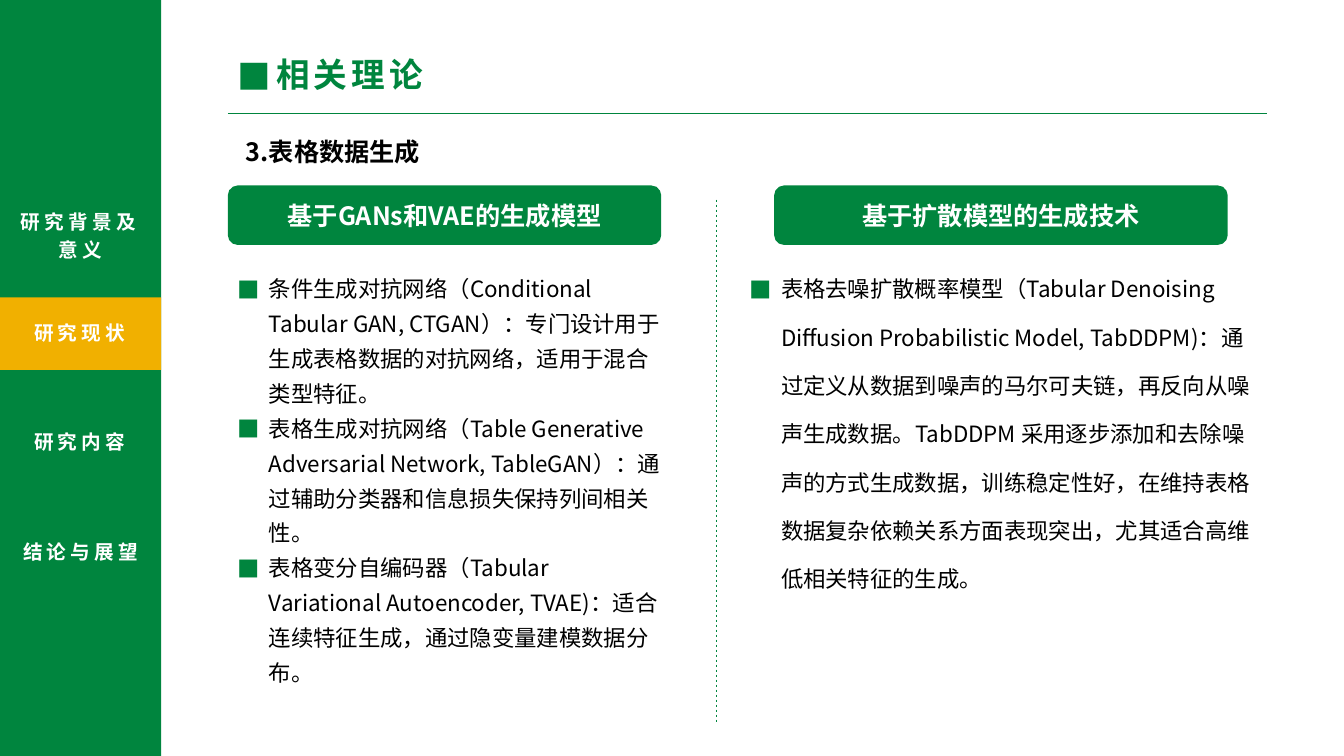
import pptx
import pptx.dml.color
import pptx.enum.dml
import pptx.enum.shapes
import pptx.enum.text
import pptx.oxml.ns
import pptx.util
from lxml import etree

COLORS = {"green": "00853E", "amber": "F1B000", "white": "FFFFFF", "black": "000000"}
FONT = "Noto Sans CJK SC"
LEFT = pptx.enum.text.PP_ALIGN.LEFT
CENTER = pptx.enum.text.PP_ALIGN.CENTER
RECTANGLE = pptx.enum.shapes.MSO_SHAPE.RECTANGLE
ROUNDED = pptx.enum.shapes.MSO_SHAPE.ROUNDED_RECTANGLE


def rgb(name):
    return pptx.dml.color.RGBColor.from_string(COLORS[name])


def add_element(parent, tag, **attributes):
    return etree.SubElement(parent, pptx.oxml.ns.qn(tag), attributes)


class SlideBuilder:
    """Places styled elements; every length is a percentage of the slide."""

    def __init__(self, presentation):
        self.width = presentation.slide_width
        self.height = presentation.slide_height
        self.slide = presentation.slides.add_slide(presentation.slide_layouts[6])

    def place(self, left, top, width, height):
        return (int(self.width * left / 100), int(self.height * top / 100),
                int(self.width * width / 100), int(self.height * height / 100))

    def fill_text(self, shape, texts, size, color, bold=False, align=LEFT,
                  line_spacing=None, tracking=0, indent=0, bullet_color=None):
        frame = shape.text_frame
        frame.word_wrap = True
        for index, text in enumerate(texts):
            paragraph = frame.add_paragraph() if index else frame.paragraphs[0]
            paragraph.alignment = align
            if line_spacing:
                paragraph.line_spacing = line_spacing
            if indent:
                self.bullet(paragraph, indent, bullet_color)
            run = paragraph.add_run()
            run.text = text
            font = run.font
            font.name, font.size, font.bold = FONT, pptx.util.Pt(size), bold
            font.color.rgb = rgb(color)
            properties = run._r.get_or_add_rPr()
            add_element(properties, "a:ea", typeface=FONT)
            if tracking:
                properties.set("spc", str(tracking * 100))

    def bullet(self, paragraph, indent, color):
        properties = paragraph._p.get_or_add_pPr()
        hang = pptx.util.Inches(indent)
        properties.set("marL", str(hang))
        properties.set("indent", str(-hang))
        if color:
            holder = add_element(properties, "a:buClr")
            add_element(holder, "a:srgbClr", val=COLORS[color])
        add_element(properties, "a:buFont", typeface=FONT)
        add_element(properties, "a:buChar", char="■")

    def text(self, box, texts, size, color, grow=True, **style):
        shape = self.slide.shapes.add_textbox(*self.place(*box))
        self.fill_text(shape, texts, size, color, **style)
        if grow:
            shape.text_frame.auto_size = pptx.enum.text.MSO_AUTO_SIZE.SHAPE_TO_FIT_TEXT

    def block(self, box, color, kind=RECTANGLE):
        shape = self.slide.shapes.add_shape(kind, *self.place(*box))
        shape.shadow.inherit = False
        shape.fill.solid()
        shape.fill.fore_color.rgb = rgb(color)
        shape.line.fill.background()
        return shape

    def heading(self, box, text):
        shape = self.block(box, "green", ROUNDED)
        shape.text_frame.vertical_anchor = pptx.enum.text.MSO_ANCHOR.MIDDLE
        self.fill_text(shape, [text], 18, "white", bold=True, align=CENTER)

    def rule(self, left, top, width, height, dash=None):
        x, y, across, down = self.place(left, top, width, height)
        line = self.slide.shapes.add_connector(
            pptx.enum.shapes.MSO_CONNECTOR.STRAIGHT, x, y, x + across, y + down)
        line.line.color.rgb = rgb("green")
        line.line.width = pptx.util.Pt(0.5)
        if dash:
            line.line.dash_style = dash
        add_element(line._element.spPr, "a:effectLst")


def main():
    presentation = pptx.Presentation()
    presentation.slide_width = pptx.util.Inches(13.33)
    presentation.slide_height = pptx.util.Inches(7.5)
    builder = SlideBuilder(presentation)

    # Title and rule
    builder.rule(16.95, 14.93, 77.35, 0)
    builder.text((16.95, 6.53, 64.3, 6.67), ["相关理论"], 24, "green",
                 bold=True, tracking=3, indent=0.38)

    # Navigation bar with the current section highlighted
    builder.block((0, 0, 12, 100), "green")
    builder.block((0, 39.33, 12, 9.6), "amber")
    sections = [
        ("研究背景及意义", (0, 26.53, 12, 8.8), CENTER),
        ("研究现状", (1.8, 41.2, 9.3, 4.8), LEFT),
        ("研究内容", (1.8, 55.6, 9.3, 5.07), LEFT),
        ("结论与展望", (0, 70.13, 12, 5.07), CENTER),
    ]
    for name, box, align in sections:
        builder.text(box, [name], 14, "white", bold=True, align=align,
                     line_spacing=1.2, tracking=3)

    # Left column: GAN and VAE models
    builder.heading((16.95, 24.53, 32.25, 7.87), "基于GANs和VAE的生成模型")
    builder.text((16.95, 34.67, 33.1, 61.07), [
        "条件生成对抗网络（Conditional Tabular GAN, CTGAN）：专门设计用于生成表格数据的对抗网络，适用于混合类型特征。",
        "表格生成对抗网络（Table Generative Adversarial Network, TableGAN）：通过辅助分类器和信息损失保持列间相关性。",
        "表格变分自编码器（Tabular Variational Autoencoder, TVAE)：适合连续特征生成，通过隐变量建模数据分布。",
    ], 16, "black", grow=False, line_spacing=1.3, indent=0.31, bullet_color="green")

    # Right column: diffusion models
    builder.heading((57.6, 24.53, 33.75, 7.87), "基于扩散模型的生成技术")
    builder.text((55.05, 32.93, 39.3, 52.13), [
        "表格去噪扩散概率模型（Tabular Denoising Diffusion Probabilistic Model, TabDDPM)："
        "通过定义从数据到噪声的马尔可夫链，再反向从噪声生成数据。TabDDPM 采用逐步添加和去除噪声的方式生成数据，"
        "训练稳定性好，在维持表格数据复杂依赖关系方面表现突出，尤其适合高维低相关特征的生成。",
    ], 16, "black", line_spacing=1.8, indent=0.31, bullet_color="green")

    # Column divider and subtitle
    builder.rule(53.33, 26.4, 0, 69.33, pptx.enum.dml.MSO_LINE.DASH)
    builder.text((17.55, 17.33, 41.7, 5.33), ["3.表格数据生成"], 18, "black", bold=True)

    presentation.save("out.pptx")


if __name__ == "__main__":
    main()
